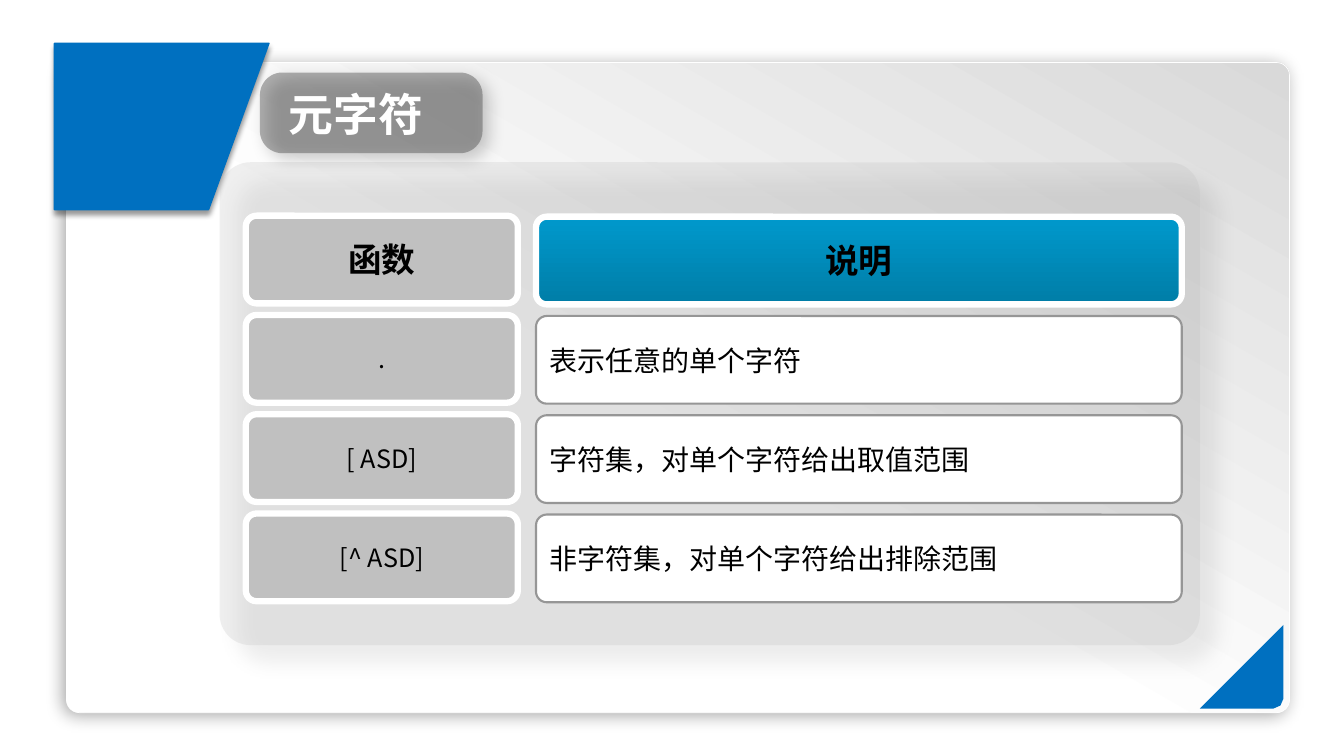
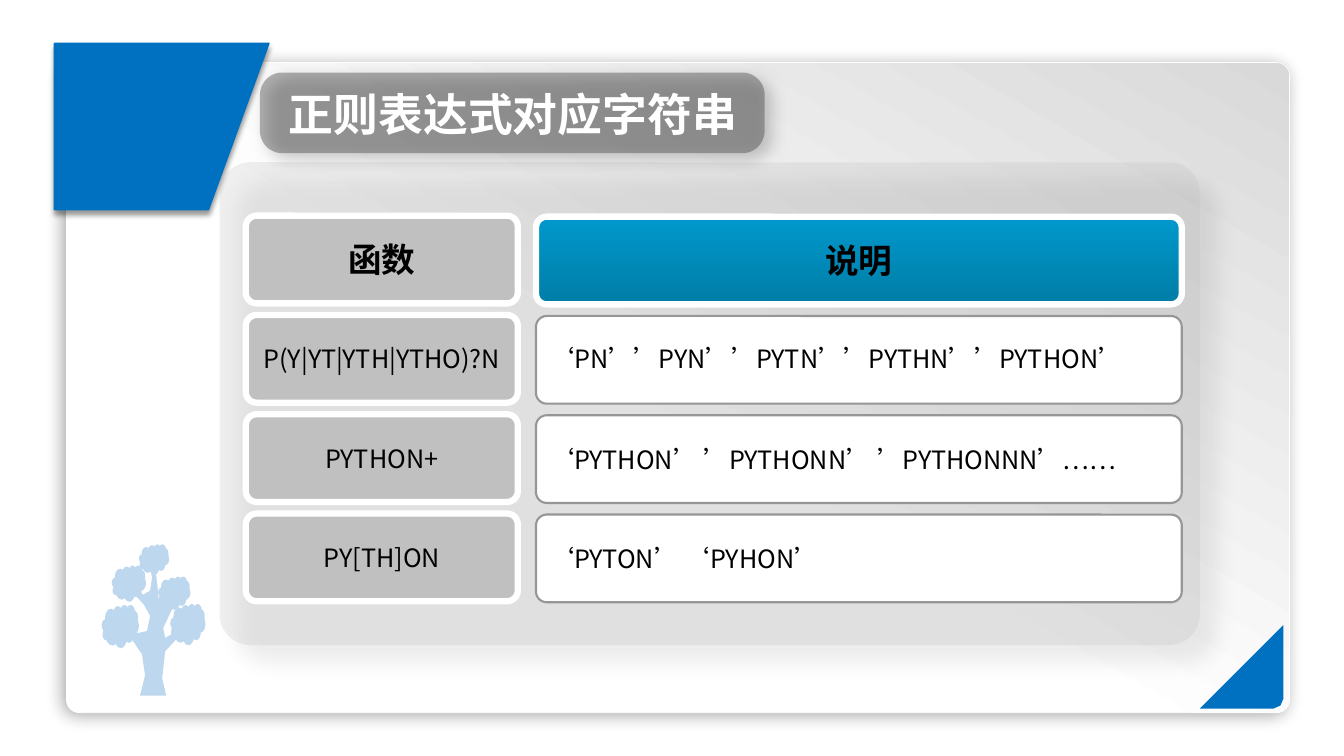
from lxml import etree
from pptx import Presentation
from pptx.dml.color import RGBColor
from pptx.enum.shapes import MSO_SHAPE
from pptx.enum.text import MSO_ANCHOR, PP_ALIGN
from pptx.oxml.ns import qn
from pptx.util import Inches, Pt

ROUND, CLOUD = MSO_SHAPE.ROUNDED_RECTANGLE, MSO_SHAPE.CLOUD
MIDDLE = MSO_ANCHOR.MIDDLE
LEFT, CENTER = PP_ALIGN.LEFT, PP_ALIGN.CENTER

WHITE = RGBColor(0xFF, 0xFF, 0xFF)
BLACK = RGBColor(0x00, 0x00, 0x00)
BLUE = RGBColor(0x00, 0x70, 0xC0)
PALE = RGBColor(0xBD, 0xD7, 0xEE)
SILVER = RGBColor(0xC0, 0xC0, 0xC0)
LIGHT = RGBColor(0xD9, 0xD9, 0xD9)
GREY = RGBColor(0x96, 0x96, 0x96)
DARK = RGBColor(0x40, 0x40, 0x40)
SKY = RGBColor(0x00, 0x99, 0xCC)
SEA = RGBColor(0x00, 0x7D, 0xA7)
FONT = "Noto Sans CJK SC"

# Gradients: (position, colour) stops, then the counter-clockwise angle
SHEEN = ((0.45, WHITE), (1, LIGHT), 60)
HEAD = ((0, SKY), (1, SEA), 270)

# Shadows: opacity in percent, blur and distance in points, direction in degrees
FRAME_SHADE = (34, 12, 3, 135)
FLAG_SHADE = (40, 4, 3, 90)
TITLE_SHADE = (50, 12, 6, 45)
PANEL_SHADE = (30, 15, 18, 45)

FLAG = [(2.67, 0.43), (0.54, 0.43), (0.54, 2.08), (2.07, 2.08)]
CORNER = [(12.74, 6.2), (12.74, 6.93), (12.71, 7), (12.64, 7.03), (11.91, 7.03)]

# Tree: left, top, width, height of each crown, then the trunk outline
CROWNS = [(1.01, 6, 0.37, 0.43), (1.11, 5.61, 0.34, 0.36), (1.38, 5.4, 0.3, 0.3),
          (1.57, 5.72, 0.32, 0.33), (1.69, 5.99, 0.35, 0.41)]
TRUNK = [(1.39, 6.9), (1.44, 6.7), (1.41, 6.49), (1.3, 6.33), (1.19, 6.2),
         (1.37, 6.28), (1.46, 6.26), (1.49, 6.11), (1.43, 6), (1.32, 5.88),
         (1.32, 5.77), (1.42, 5.9), (1.49, 5.86), (1.51, 5.73), (1.48, 5.58),
         (1.55, 5.7), (1.58, 5.97), (1.66, 5.97), (1.72, 5.88), (1.71, 6.04),
         (1.62, 6.23), (1.64, 6.33), (1.77, 6.25), (1.86, 6.13), (1.79, 6.3),
         (1.64, 6.46), (1.61, 6.73), (1.65, 6.9)]

SLIDES = [
    {"title": "元字符", "width": 2.21, "size": 20, "tree": False, "rows": [
        (".", "表示任意的单个字符", None),
        ("[ ASD]", "字符集，对单个字符给出取值范围", None),
        ("[^ ASD]", "非字符集，对单个字符给出排除范围", None)]},
    {"title": "正则表达式对应字符串", "width": 5.01, "size": 18, "tree": True, "rows": [
        ("P(Y|YT|YTH|YTHO)?N", "‘PN’’PYN’’PYTN’’PYTHN’’PYTHON’", Pt(19.5)),
        ("PYTHON+", "‘PYTHON’ ’PYTHONN’ ’PYTHONNN’……", None),
        ("PY[TH]ON", "‘PYTON’ ‘PYHON’", None)]},
]
PITCH = 0.985


def trace(slide, points):
    """Add a closed outline through points given in inches."""
    dots = [(Inches(x), Inches(y)) for x, y in points]
    pen = slide.shapes.build_freeform(*dots[0], scale=1.0)
    pen.add_line_segments(dots[1:], close=True)
    return pen.convert_to_shape()


def paint(shape, fill, edge=None, weight=1, alpha=None, shade=None, adj=None):
    """Set fill, outline, shadow and corner radius."""
    if adj is not None:
        shape.adjustments[0] = adj
    if isinstance(fill, RGBColor):
        shape.fill.solid()
        shape.fill.fore_color.rgb = fill
    else:
        shape.fill.gradient()
        shape.fill.gradient_angle = fill[-1]
        for stop, (place, tone) in zip(shape.fill.gradient_stops, fill):
            stop.position, stop.color.rgb = place, tone
    if alpha is not None:
        tint = shape._element.spPr.find(qn("a:solidFill"))[0]
        etree.SubElement(tint, qn("a:alpha"), val=str(alpha * 1000))
    if edge is None:
        shape.line.fill.background()
    else:
        shape.line.color.rgb = edge
        shape.line.width = Pt(weight)
    shape.shadow.inherit = False
    if shade:
        depth, blur, dist, turn = shade
        glow = etree.SubElement(
            shape._element.spPr.find(qn("a:effectLst")), qn("a:outerShdw"),
            blurRad=str(Pt(blur)), dist=str(Pt(dist)), dir=str(turn * 60000),
            algn="ctr", rotWithShape="0")
        tone = etree.SubElement(glow, qn("a:srgbClr"), val="000000")
        etree.SubElement(tone, qn("a:alpha"), val=str(depth * 1000))


deck = Presentation()
deck.slide_width, deck.slide_height = Inches(13.34), Inches(7.5)

for page in SLIDES:
    slide = deck.slides.add_slide(deck.slide_layouts[6])
    shapes = slide.shapes

    frame = shapes.add_shape(ROUND, Inches(0.66), Inches(0.62), Inches(12.14), Inches(6.45))
    paint(frame, SHEEN, WHITE, 0.5, shade=FRAME_SHADE, adj=0.02)
    paint(trace(slide, CORNER), BLUE)
    paint(trace(slide, FLAG), BLUE, BLUE, shade=FLAG_SHADE)

    if page["tree"]:
        for crown in CROWNS:
            paint(shapes.add_shape(CLOUD, *map(Inches, crown)), PALE)
        paint(trace(slide, TRUNK), PALE)

    panel = shapes.add_shape(ROUND, Inches(2.18), Inches(1.61), Inches(9.73), Inches(4.79))
    paint(panel, SILVER, alpha=25, shade=PANEL_SHADE, adj=0.064)
    badge = shapes.add_shape(ROUND, Inches(2.58), Inches(0.72), Inches(page["width"]), Inches(0.8))
    paint(badge, DARK, alpha=40, shade=TITLE_SHADE, adj=0.278)
    title = shapes.add_textbox(Inches(2.77), Inches(0.81), Inches(page["width"] - 0.32), Inches(0.64))
    title.text_frame.word_wrap = False

    texts = [(title, page["title"], LEFT, None, {"size": Pt(32), "bold": True}, WHITE)]
    for i, (name, note, gap) in enumerate([("函数", "说明", None)] + page["rows"]):
        top = i == 0
        key = shapes.add_shape(ROUND, Inches(2.44), Inches(2.14 + i * PITCH), Inches(2.7), Inches(0.87))
        paint(key, SILVER, WHITE, 4.5, adj=0.123)
        cell = shapes.add_shape(ROUND, Inches(5.32), Inches(2.15 + i * PITCH), Inches(6.41), Inches(0.87))
        paint(cell, HEAD if top else WHITE, WHITE if top else GREY, 4.5 if top else 1.5, adj=0.123)
        texts += [
            (key, name, CENTER, None, {"size": Pt(24 if top else 18), "bold": top}, BLACK),
            (cell, note, CENTER if top else LEFT, gap,
             {"size": Pt(24 if top else page["size"]), "bold": top}, BLACK)]

    for shape, words, align, gap, look, tone in texts:
        if shape is not title:
            shape.text_frame.word_wrap = True
            shape.text_frame.vertical_anchor = MIDDLE
        para = shape.text_frame.paragraphs[0]
        para.alignment = align
        if gap:
            para.line_spacing = gap
        run = para.add_run()
        run.text = words
        for field, value in {"name": FONT, **look}.items():
            setattr(run.font, field, value)
        run.font.color.rgb = tone
        props = run._r.get_or_add_rPr()
        props.set("lang", "zh-CN")
        etree.SubElement(props, qn("a:ea"), typeface=FONT)

deck.save("out.pptx")
